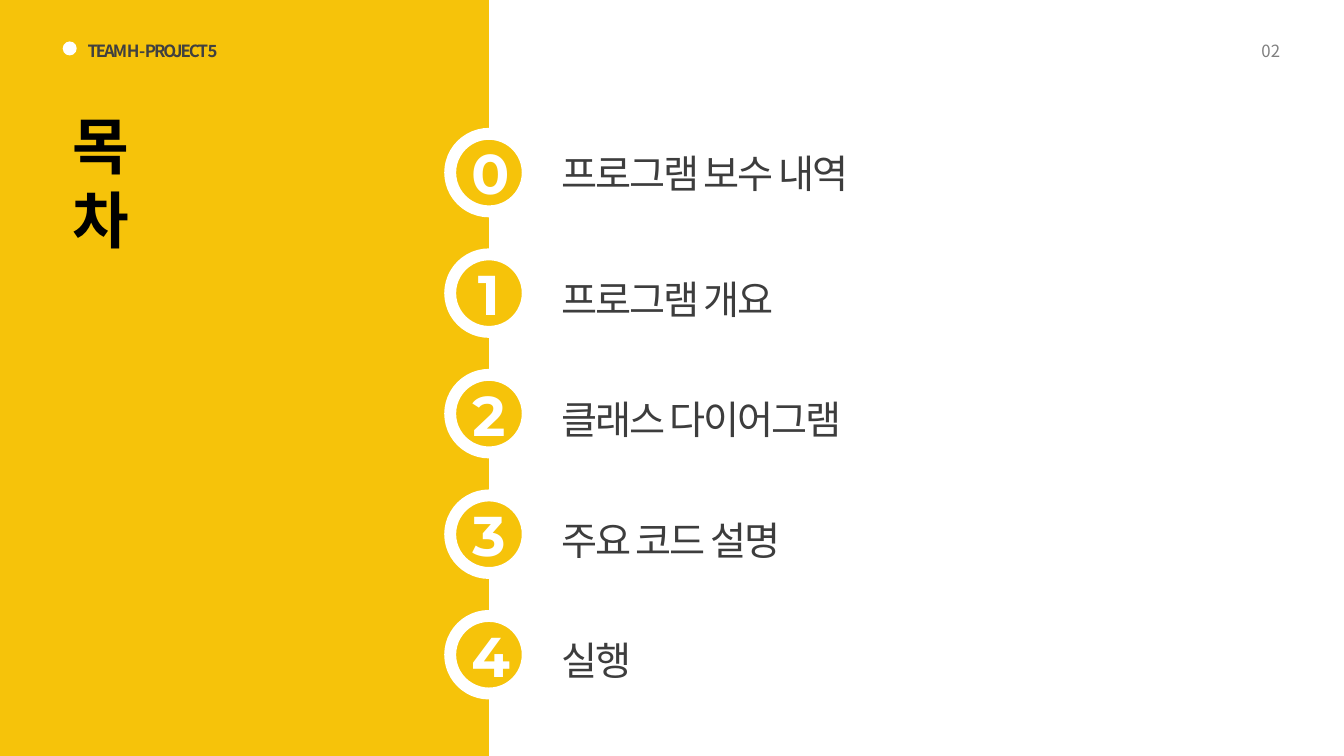
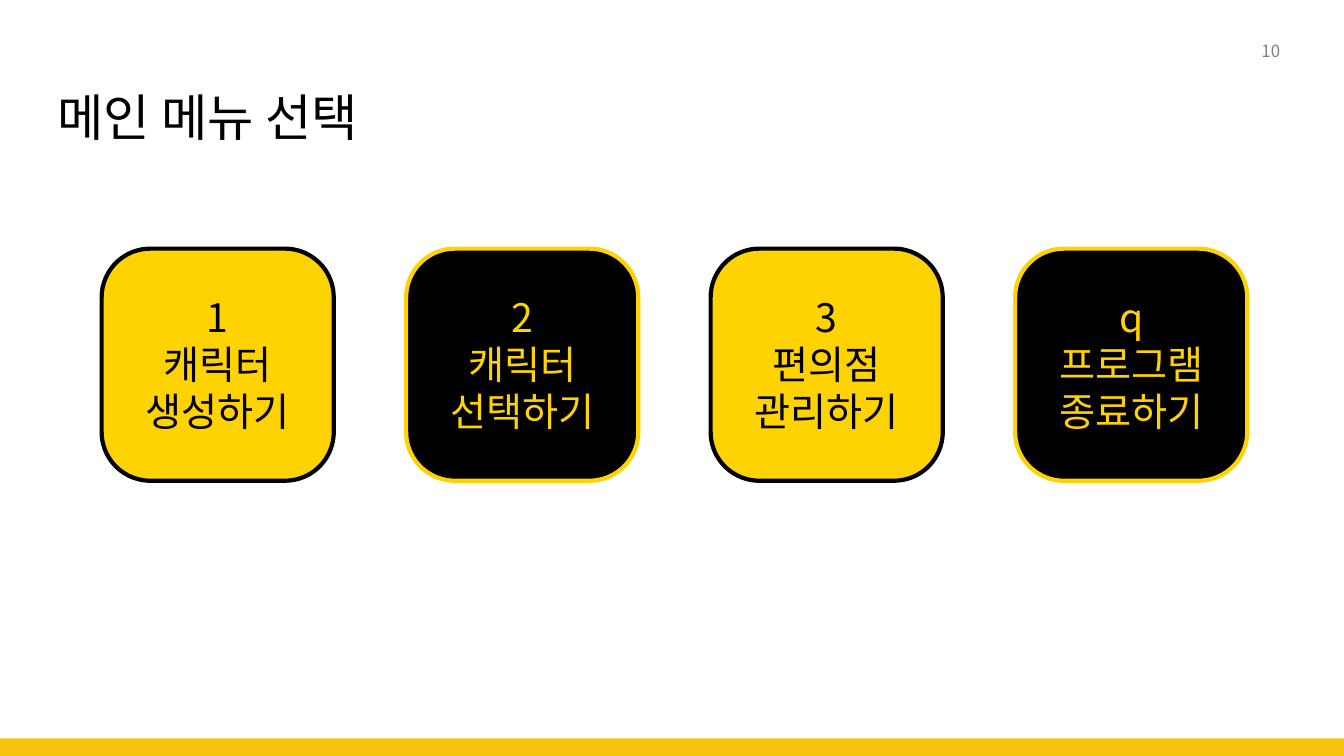
from dataclasses import dataclass

from pptx import Presentation
from pptx.dml.color import RGBColor
from pptx.enum import shapes, text
from pptx.oxml.ns import qn
from pptx.util import Pt

WIDTH, HEIGHT = 960, 540
AMBER, YELLOW = "F6C30A", "FFD202"
BLACK, WHITE, CHARCOAL, DARK, GRAY = "000000", "FFFFFF", "3D3D3D", "404040", "808080"
KOREAN, NUMERAL = "Noto Sans CJK KR", "Montserrat"
SHAPE, ALIGN = shapes.MSO_SHAPE, text.PP_ALIGN


@dataclass(frozen=True)
class Box:
    left: float
    top: float
    width: float
    height: float

    def lengths(self) -> tuple:
        return Pt(self.left), Pt(self.top), Pt(self.width), Pt(self.height)


@dataclass(frozen=True)
class Chapter:
    title: str
    drop: float = 4.5  # title box below the top of its circle


@dataclass(frozen=True)
class MenuItem:
    lines: tuple
    fill: str
    ink: str


CHAPTERS = (
    Chapter("프로그램 보수 내역", drop=0.7),
    Chapter("프로그램 개요"),
    Chapter("클래스 다이어그램"),
    Chapter("주요 코드 설명"),
    Chapter("실행"),
)
MENU = (
    MenuItem(("1", "캐릭터", "생성하기"), YELLOW, BLACK),
    MenuItem(("2", "캐릭터", "선택하기"), BLACK, YELLOW),
    MenuItem(("3", "편의점", "관리하기"), YELLOW, BLACK),
    MenuItem(("q", "프로그램", "종료하기"), BLACK, YELLOW),
)


def rgb(value: str) -> RGBColor:
    return RGBColor.from_string(value)


def write(tf, *lines: str, size: float, color: str = BLACK, font: str = KOREAN,
          bold: bool = False, align=ALIGN.LEFT, line_spacing: float = 1.0,
          tracking: float = 0) -> None:
    """Fill a text frame with one paragraph per line."""
    for i, line in enumerate(lines):
        p = tf.add_paragraph() if i else tf.paragraphs[0]
        p.alignment, p.line_spacing = align, line_spacing
        r = p.add_run()
        r.text = line
        r.font.name, r.font.size, r.font.bold = font, Pt(size), bold
        r.font.color.rgb = rgb(color)
        props = r._r.get_or_add_rPr()
        props.get_or_change_to_solidFill()
        east_asian = props.makeelement(qn("a:ea"), {"typeface": font})
        props.find(qn("a:latin")).addnext(east_asian)
        if tracking:
            props.set("spc", str(round(tracking * 100)))


def add_text(s, box: Box, *lines: str, wrap: bool = True, **style) -> None:
    tf = s.shapes.add_textbox(*box.lengths()).text_frame
    tf.word_wrap = wrap
    tf.auto_size = text.MSO_AUTO_SIZE.SHAPE_TO_FIT_TEXT
    write(tf, *lines, **style)


def add_shape(s, kind, box: Box, fill: str, line: str = "", line_width: float = 0):
    sp = s.shapes.add_shape(kind, *box.lengths())
    sp.shadow.inherit = False
    sp.fill.solid()
    sp.fill.fore_color.rgb = rgb(fill)
    if line:
        sp.line.color.rgb = rgb(line)
        sp.line.width = Pt(line_width)
    else:
        sp.line.fill.background()
    return sp


def add_slide(prs, band: Box, number: str):
    """Add a white slide with its amber band and page number."""
    s = prs.slides.add_slide(prs.slide_layouts[6])
    s.background.fill.solid()
    s.background.fill.fore_color.rgb = rgb(WHITE)
    add_shape(s, SHAPE.RECTANGLE, band, AMBER)
    add_text(s, Box(893.5, 23, 28, 23), number, wrap=False, size=12, color=GRAY,
             align=ALIGN.RIGHT, line_spacing=1.2)
    return s


def add_chapter(s, number: int, chapter: Chapter) -> None:
    top = 95.6 + 86.1 * number
    circle = add_shape(s, SHAPE.OVAL, Box(321.6, top, 55.4, 55.4), AMBER, WHITE, 8.5)
    circle.text_frame.vertical_anchor = text.MSO_ANCHOR.MIDDLE
    write(circle.text_frame, str(number), size=40, color=WHITE, font=NUMERAL,
          bold=True, align=ALIGN.CENTER)
    add_text(s, Box(394, top + chapter.drop, 228, 45.4), chapter.title, size=28,
             color=CHARCOAL, line_spacing=1.2, tracking=-1.5)


def build_contents(prs) -> None:
    s = add_slide(prs, Box(0, 0, 349.2, HEIGHT), "02")
    add_text(s, Box(44.6, 73.4, 95, 60.5), "목차", wrap=False, size=44, bold=True)
    add_text(s, Box(55.5, 23, 111, 23), "TEAM H - PROJECT 5", wrap=False, size=12,
             color=DARK, bold=True, line_spacing=1.2, tracking=-1.5)
    add_shape(s, SHAPE.OVAL, Box(44.8, 29.6, 10, 10), WHITE)
    for number, chapter in enumerate(CHAPTERS):
        add_chapter(s, number, chapter)


def build_menu(prs) -> None:
    s = add_slide(prs, Box(0, 527.5, WIDTH, 12.5), "10")
    add_text(s, Box(19.4, 58.3, 257.8, 51), "메인 메뉴 선택", size=36, align=ALIGN.CENTER)
    side, pitch = 165.8, 217.5
    for i, item in enumerate(MENU):
        left = 72.6 + pitch * i
        tile = add_shape(s, SHAPE.ROUNDED_RECTANGLE, Box(left, 177.6, side, side),
                         item.fill, item.ink, 3)
        tile.adjustments[0] = 0.21
        add_text(s, Box(left, 206, side, 109), *item.lines, size=28, color=item.ink,
                 align=ALIGN.CENTER)


def main() -> None:
    prs = Presentation()
    prs.slide_width, prs.slide_height = Pt(WIDTH), Pt(HEIGHT)
    build_contents(prs)
    build_menu(prs)
    prs.save("out.pptx")


if __name__ == "__main__":
    main()
